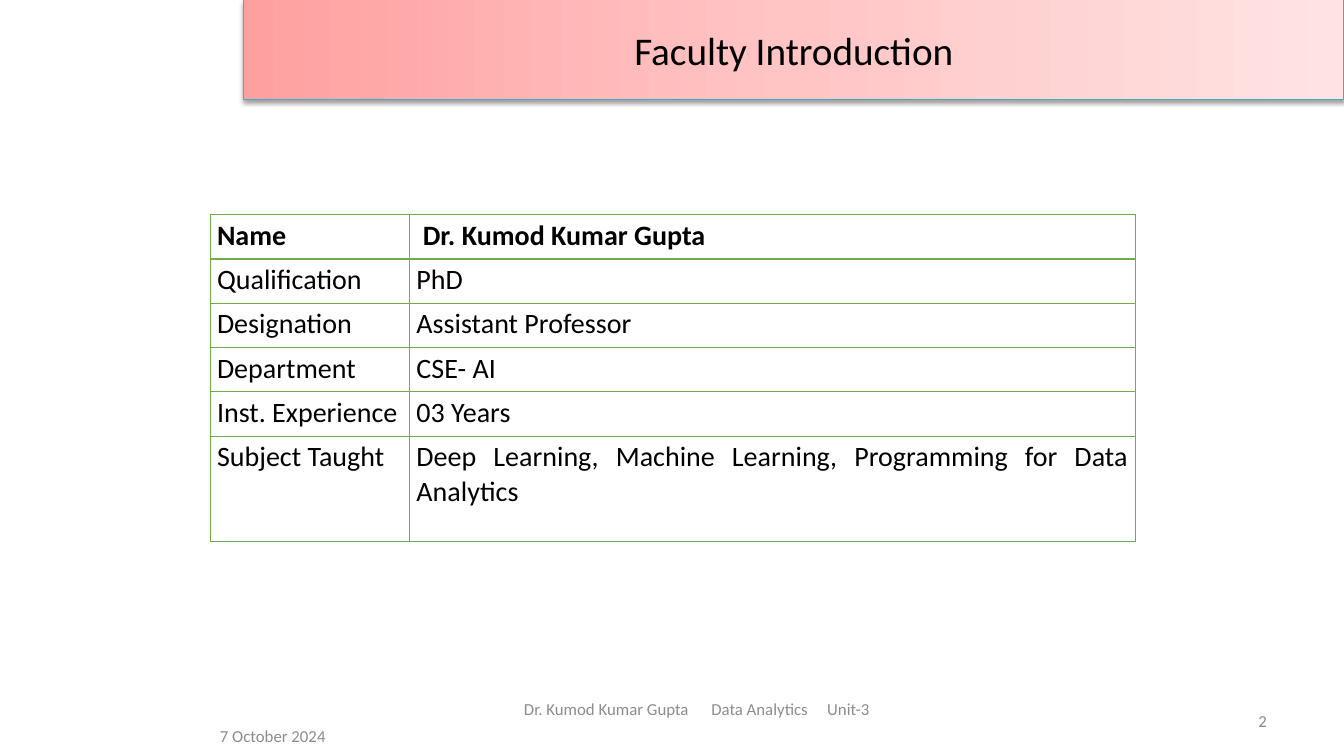
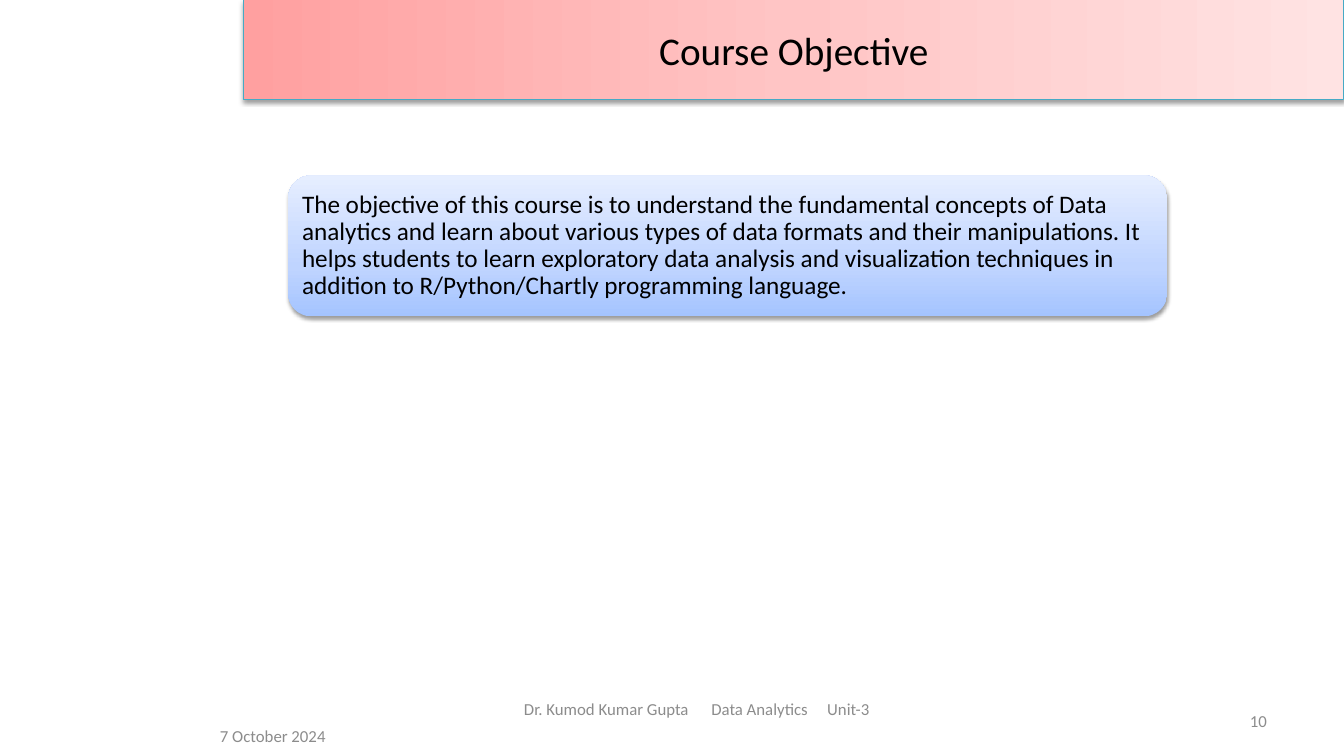
from dataclasses import dataclass

from lxml.etree import SubElement
from pptx import Presentation
from pptx.dml.color import RGBColor
from pptx.enum.shapes import MSO_SHAPE
from pptx.enum.text import MSO_ANCHOR, PP_ALIGN
from pptx.oxml.ns import qn
from pptx.shapes.autoshape import Shape
from pptx.slide import Slide
from pptx.table import _Cell
from pptx.text.text import TextFrame
from pptx.util import Inches, Length, Pt

# Slide grid
SLIDE_W, SLIDE_H = Inches(13.33), Inches(7.5)
COLUMNS, ROWS = 32, 36

# Shared style
FONT = "Calibri"
BLACK = RGBColor(0x00, 0x00, 0x00)
FOOTER_GREY = RGBColor(0x8C, 0x8C, 0x8C)
BAND_LINE = RGBColor(0x46, 0xAA, 0xC5)
TABLE_GREEN = RGBColor(0x70, 0xAD, 0x47)
PINKS = (
    (0, RGBColor(0xFF, 0xA0, 0xA0)),
    (50, RGBColor(0xFF, 0xC5, 0xC5)),
    (100, RGBColor(0xFF, 0xE3, 0xE3)),
)
BLUES = (
    (0, RGBColor(0xA4, 0xC4, 0xFF)),
    (35, RGBColor(0xBF, 0xD4, 0xFF)),
    (100, RGBColor(0xE6, 0xEE, 0xFF)),
)
GradientStops = tuple[tuple[int, RGBColor], ...]


def across(columns: float) -> Length:
    return Length(round(SLIDE_W * columns / COLUMNS))


def down(rows: float) -> Length:
    return Length(round(SLIDE_H * rows / ROWS))


@dataclass(frozen=True)
class Area:
    """A rectangle in grid columns and rows."""
    column: float
    row: float
    columns: float
    rows: float

    def box(self) -> tuple[Length, Length, Length, Length]:
        return (across(self.column), down(self.row),
                across(self.columns), down(self.rows))


@dataclass(frozen=True)
class TextStyle:
    size: float
    color: RGBColor = BLACK
    align: PP_ALIGN = PP_ALIGN.LEFT
    bold: bool = False


@dataclass(frozen=True)
class FooterPart:
    text: str
    area: Area
    align: PP_ALIGN = PP_ALIGN.LEFT
    tab_columns: tuple[float, ...] = ()


TITLE_AREA = Area(5.8, 0, 26.2, 4.75)
TABLE_AREA = Area(5, 10.22, 22.03, 15.59)
OBJECTIVE_AREA = Area(6.86, 8.35, 20.93, 6.72)
NUMBER_AREA = Area(22.94, 33.36, 7.46, 1.92)
FOOTER = (
    FooterPart("7 October 2024", Area(5, 34.08, 5.6, 1.92)),
    FooterPart("Dr. Kumod Kumar Gupta\tData Analytics\tUnit-3",
               Area(12.24, 32.78, 10.96, 1.92), tab_columns=(4.46, 7.22)),
)

# Content
FACULTY = (
    ("Name", " Dr. Kumod Kumar Gupta"),
    ("Qualification", "PhD"),
    ("Designation", "Assistant Professor"),
    ("Department", "CSE- AI"),
    ("Inst. Experience", "03 Years"),
    ("Subject Taught",
     "Deep Learning, Machine Learning, Programming for Data Analytics"),
)
FACULTY_COLUMNS = (4.75, 17.28)
FACULTY_ROWS = (2.11,) * 5 + (5.04,)
OBJECTIVE = (
    "The objective of this course is to understand the fundamental concepts "
    "of Data analytics and learn about various types of data formats and "
    "their manipulations. It helps students to learn exploratory data "
    "analysis and visualization techniques in addition to R/Python/Chartly "
    "programming language."
)


def write(frame: TextFrame, text: str, style: TextStyle) -> None:
    frame.text = text
    frame.word_wrap = True
    paragraph = frame.paragraphs[0]
    paragraph.alignment = style.align
    for run in paragraph.runs:
        run.font.name = FONT
        run.font.size = Pt(style.size)
        run.font.bold = style.bold
        run.font.color.rgb = style.color


def fill_gradient(shape: Shape, stops: GradientStops, angle: float) -> None:
    shape.fill.gradient()
    shape.fill.gradient_angle = angle
    stop_list = shape.element.spPr.find(".//" + qn("a:gsLst"))
    for old_stop in list(stop_list):
        stop_list.remove(old_stop)
    for percent, color in stops:
        stop = SubElement(stop_list, qn("a:gs"), pos=str(percent * 1000))
        SubElement(stop, qn("a:srgbClr"), val=str(color))


def cast_shadow(shape: Shape) -> None:
    shape.shadow.inherit = False
    effects = shape.element.spPr.find(qn("a:effectLst"))
    shadow = SubElement(effects, qn("a:outerShdw"), blurRad=str(Pt(3.1)),
                        dist=str(Pt(1.6)), dir="5400000", rotWithShape="0")
    color = SubElement(shadow, qn("a:srgbClr"), val=str(BLACK))
    SubElement(color, qn("a:alpha"), val="38000")


def add_panel(slide: Slide, kind: MSO_SHAPE, area: Area,
              stops: GradientStops, angle: float) -> Shape:
    panel = slide.shapes.add_shape(kind, *area.box())
    fill_gradient(panel, stops, angle)
    panel.line.fill.background()
    cast_shadow(panel)
    panel.text_frame.vertical_anchor = MSO_ANCHOR.MIDDLE
    return panel


def add_footer_part(slide: Slide, part: FooterPart) -> None:
    frame = slide.shapes.add_textbox(*part.area.box()).text_frame
    frame.vertical_anchor = MSO_ANCHOR.MIDDLE
    write(frame, part.text, TextStyle(12, FOOTER_GREY, part.align))
    if part.tab_columns:
        properties = frame.paragraphs[0]._p.get_or_add_pPr()
        tabs = SubElement(properties, qn("a:tabLst"))
        for column in part.tab_columns:
            SubElement(tabs, qn("a:tab"), pos=str(across(column)), algn="l")


def add_framed_slide(deck: Presentation, title: str, number: int) -> Slide:
    """Add a blank slide with the title band and the footer."""
    slide = deck.slides.add_slide(deck.slide_layouts[6])
    band = add_panel(slide, MSO_SHAPE.RECTANGLE, TITLE_AREA, PINKS, 0)
    band.line.color.rgb = BAND_LINE
    band.line.width = Pt(0.75)
    write(band.text_frame, title, TextStyle(28, align=PP_ALIGN.CENTER))
    page = FooterPart(str(number), NUMBER_AREA, PP_ALIGN.RIGHT)
    for part in (*FOOTER, page):
        add_footer_part(slide, part)
    return slide


def set_borders(cell: _Cell, top: float, bottom: float) -> None:
    properties = cell._tc.get_or_add_tcPr()
    widths = {"a:lnL": 0.75, "a:lnR": 0.75, "a:lnT": top, "a:lnB": bottom}
    for side, width in widths.items():
        border = SubElement(properties, qn(side), w=str(Pt(width)))
        fill = SubElement(border, qn("a:solidFill"))
        SubElement(fill, qn("a:srgbClr"), val=str(TABLE_GREEN))


def add_faculty_table(slide: Slide) -> None:
    table = slide.shapes.add_table(
        len(FACULTY), len(FACULTY_COLUMNS), *TABLE_AREA.box()).table
    table.first_row = table.horz_banding = False
    for column, width in zip(table.columns, FACULTY_COLUMNS):
        column.width = across(width)
    for row, height in zip(table.rows, FACULTY_ROWS):
        row.height = down(height)

    last = len(FACULTY) - 1
    for r, entry in enumerate(FACULTY):
        for c, text in enumerate(entry):
            cell = table.cell(r, c)
            cell.margin_left = cell.margin_right = Inches(0.07)
            cell.margin_top = cell.margin_bottom = Inches(0.04)
            set_borders(cell, top=1.13 if r == 1 else 0.75,
                        bottom=1.13 if r == 0 else 0.75)
            cell.fill.background()
            justified = r == last and c == 1
            align = PP_ALIGN.JUSTIFY if justified else PP_ALIGN.LEFT
            write(cell.text_frame, text,
                  TextStyle(20, align=align, bold=r == 0))


def add_objective(slide: Slide) -> None:
    panel = add_panel(slide, MSO_SHAPE.ROUNDED_RECTANGLE, OBJECTIVE_AREA,
                      BLUES, 90)
    frame = panel.text_frame
    # The rounded corners already inset the text by about half of the gap
    frame.margin_left = frame.margin_right = Inches(0.07)
    frame.margin_top = frame.margin_bottom = Inches(0.07)
    write(frame, OBJECTIVE, TextStyle(18))
    frame.paragraphs[0].line_spacing = 0.9


def main() -> None:
    deck = Presentation()
    deck.slide_width, deck.slide_height = SLIDE_W, SLIDE_H
    add_faculty_table(add_framed_slide(deck, "Faculty Introduction", 2))
    add_objective(add_framed_slide(deck, "Course Objective", 10))
    deck.save("out.pptx")


if __name__ == "__main__":
    main()
